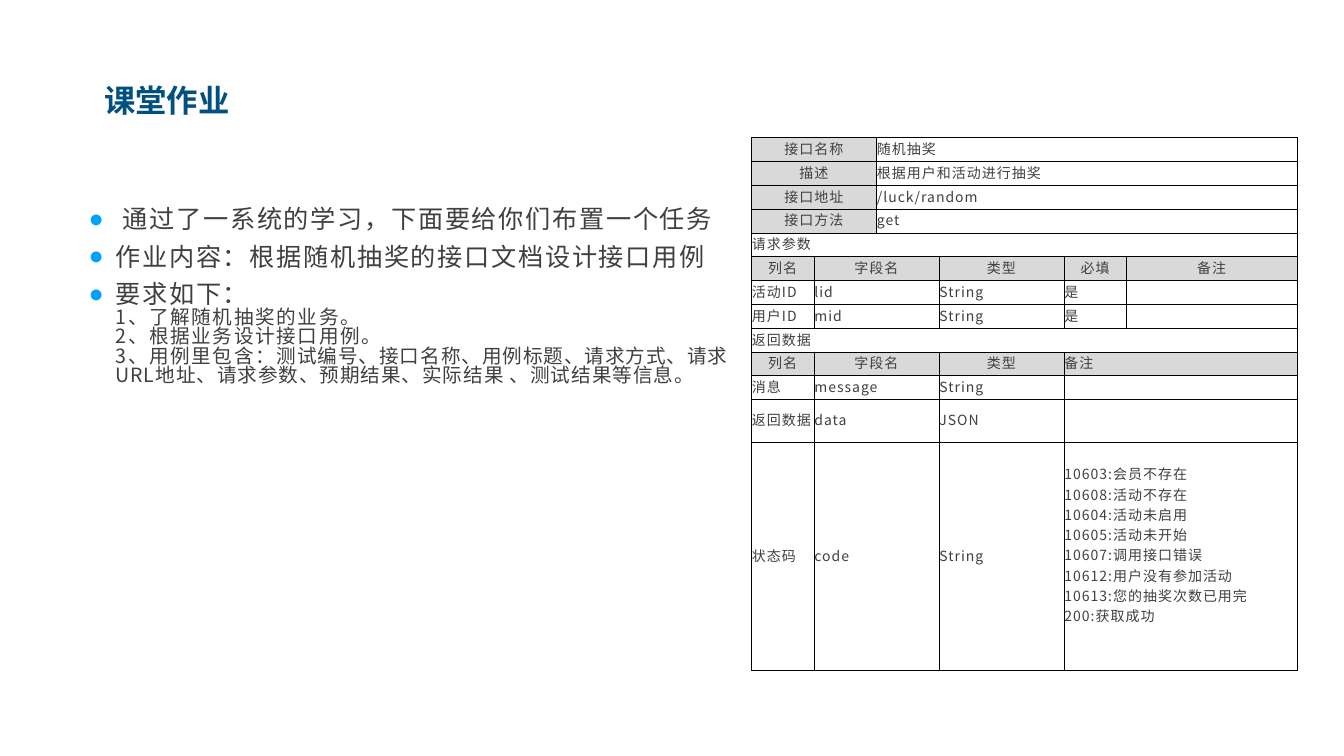
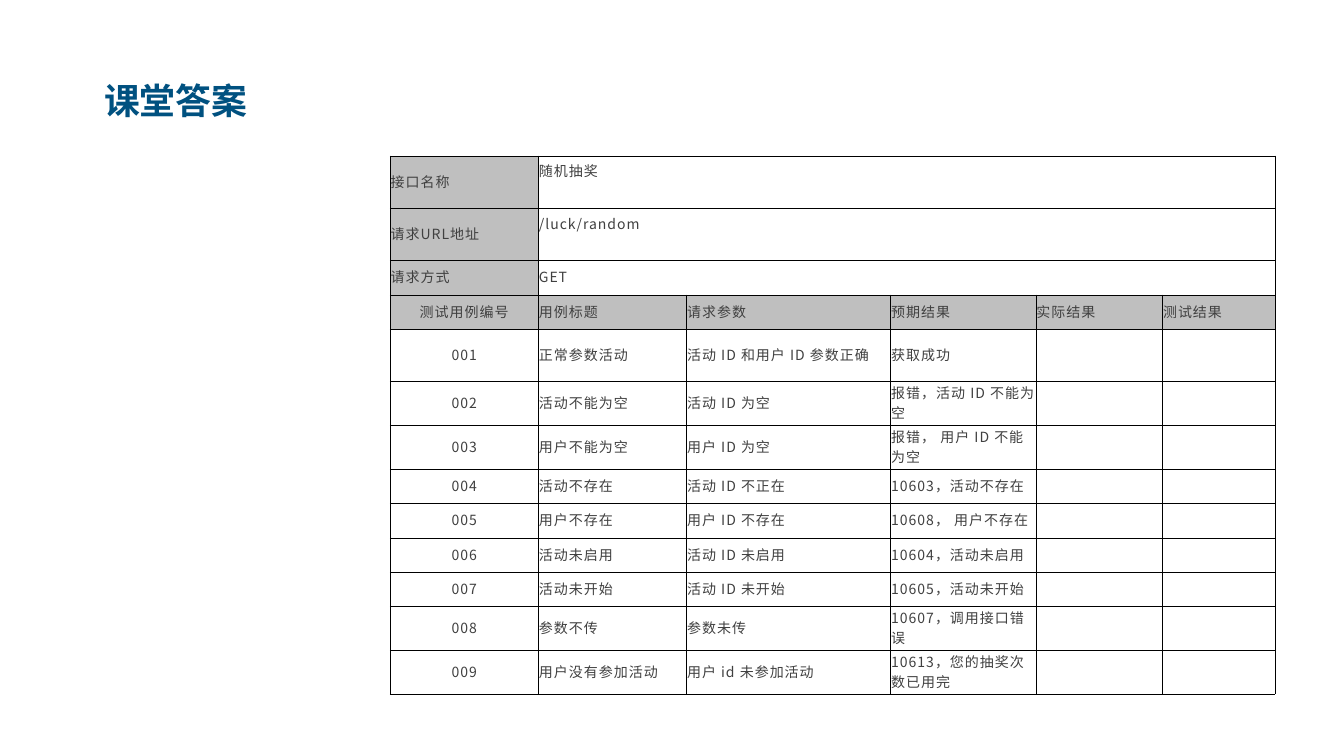
from dataclasses import dataclass

from lxml import etree
from pptx import Presentation
from pptx.dml.color import RGBColor
from pptx.enum.text import MSO_ANCHOR, MSO_AUTO_SIZE, PP_ALIGN
from pptx.oxml.ns import qn
from pptx.util import Cm, Pt

LEFT, CENTER = PP_ALIGN.LEFT, PP_ALIGN.CENTER
MIDDLE = MSO_ANCHOR.MIDDLE
FIXED = MSO_AUTO_SIZE.NONE


@dataclass(frozen=True)
class Theme:
    navy: str = "005180"
    ink: str = "404040"
    dot: str = "00A2FF"
    rule: str = "000000"
    light: str = "D9D9D9"
    grey: str = "BFBFBF"
    white: str = "FFFFFF"
    latin: str = "Arial"
    sans: str = "Noto Sans CJK SC"
    item: float = 36
    step: float = 28
    cell: float = 20


T = Theme()
TITLE_BOX = (5.05, 3.76, 45.39, 2.59)
LIST_BOX = (4.27, 2.06, 33.5, 25.76)

ITEMS = [
    " 通过了一系统的学习，下面要给你们布置一个任务",
    "作业内容：根据随机抽奖的接口文档设计接口用例",
    "要求如下：",
]
STEPS = [
    ["1、了解随机抽奖的业务。"],
    ["2、根据业务设计接口用例。"],
    ["3、用例里包含：",
     "测试编号、接口名称、用例标题、请求方式、请求URL地址、请求参数、预期结果、"
     "实际结果 、测试结果等信息。"],
]

CODES = """10603:会员不存在
10608:活动不存在
10604:活动未启用
10605:活动未开始
10607:调用接口错误
10612:用户没有参加活动
10613:您的抽奖次数已用完
200:获取成功"""
API = [
    ["接口名称", None, "随机抽奖", None, None, None],
    ["描述", None, "根据用户和活动进行抽奖", None, None, None],
    ["接口地址", None, "/luck/random", None, None, None],
    ["接口方法", None, "get", None, None, None],
    ["请求参数", None, None, None, None, None],
    ["列名", "字段名", None, "类型", "必填", "备注"],
    ["活动ID", "lid", None, "String", "是", ""],
    ["用户ID", "mid", None, "String", "是", ""],
    ["返回数据", None, None, None, None, None],
    ["列名", "字段名", None, "类型", "备注", None],
    ["消息", "message", None, "String", "", None],
    ["返回数据", "data", None, "JSON", "", None],
    ["状态码", "code", None, "String", CODES, None],
]
CASES = [
    ["接口名称", "随机抽奖", None, None, None, None],
    ["请求URL地址", "/luck/random", None, None, None, None],
    ["请求方式", "GET", None, None, None, None],
    ["测试用例编号", "用例标题", "请求参数", "预期结果", "实际结果", "测试结果"],
    ["001", "正常参数活动", "活动 ID 和用户 ID 参数正确", "获取成功", "", ""],
    ["002", "活动不能为空", "活动 ID 为空", "报错，活动 ID 不能为空", "", ""],
    ["003", "用户不能为空", "用户 ID 为空", "报错， 用户 ID 不能为空", "", ""],
    ["004", "活动不存在", "活动 ID 不正在", "10603，活动不存在", "", ""],
    ["005", "用户不存在", "用户 ID 不存在", "10608， 用户不存在", "", ""],
    ["006", "活动未启用", "活动 ID 未启用", "10604，活动未启用", "", ""],
    ["007", "活动未开始", "活动 ID 未开始", "10605，活动未开始", "", ""],
    ["008", "参数不传", "参数未传", "10607，调用接口错误", "", ""],
    ["009", "用户没有参加活动", "用户 id 未参加活动", "10613，您的抽奖次数已用完", "", ""],
]


def write(para, text, size=T.cell, color=T.ink, font=T.sans, bold=False,
          gap=0, align=LEFT, line=None):
    para.alignment = align
    para.space_before = Pt(0)
    if line:
        para.line_spacing = line
    run = para.add_run()
    run.text = text
    run.font.size = Pt(size)
    run.font.bold = bold
    run.font.color.rgb = RGBColor.from_string(color)
    run.font.name = font
    props = run._r.get_or_add_rPr()
    if gap:
        props.set("spc", str(round(gap * 100)))
    etree.SubElement(props, qn("a:ea"), typeface=T.sans)


def place(shape, box, low=0.2):
    shape.left, shape.top, shape.width, shape.height = map(Cm, box)
    frame = shape.text_frame
    frame.word_wrap = True
    frame.auto_size = FIXED
    frame.vertical_anchor = MIDDLE
    frame.margin_left = frame.margin_right = frame.margin_top = Cm(0.2)
    frame.margin_bottom = Cm(low)
    return frame


def head(slide, text, size):
    frame = place(slide.shapes.title, TITLE_BOX)
    write(frame.paragraphs[0], text, size=size, color=T.navy,
          font=T.latin, bold=True)


def indent(para, hang):
    props = para._p.get_or_add_pPr()
    props.set("marL", str(Cm(1.35)))
    props.set("indent", str(-Cm(1.35) if hang else 0))
    if hang:
        tint = etree.SubElement(props, qn("a:buClr"))
        etree.SubElement(tint, qn("a:srgbClr"), val=T.dot)
        etree.SubElement(props, qn("a:buFont"), typeface=T.latin)
        etree.SubElement(props, qn("a:buChar"), char="●")
    else:
        etree.SubElement(props, qn("a:buNone"))


def tasks(slide, box):
    frame = place(slide.placeholders[1], box, low=0.7)
    for i, text in enumerate(ITEMS):
        para = frame.add_paragraph() if i else frame.paragraphs[0]
        write(para, text, size=T.item, gap=2.4, line=1.24)
        indent(para, True)
    for parts in STEPS:
        para = frame.add_paragraph()
        para.level = 1
        for text, gap in zip(parts, (2.4, 1.4)):
            write(para, text, size=T.step, gap=gap, line=0.83)
        indent(para, False)


def border(cell, **widths):
    props = cell._tc.get_or_add_tcPr()
    for side in "LRTB":
        width = Pt(widths.get(side, 0.5))
        edge = etree.SubElement(props, qn("a:ln" + side), w=str(width))
        fill = etree.SubElement(edge, qn("a:solidFill"))
        etree.SubElement(fill, qn("a:srgbClr"), val=T.rule)


def grid(slide, spot, rows, cols, highs, shade, mid, tint, base=None,
         outer=0.5, pads=None):
    pads = pads or {}
    shape = slide.shapes.add_table(
        len(rows), len(cols), *map(Cm, (*spot, sum(cols), sum(highs))))
    table = shape.table
    table.first_row = table.horz_banding = False
    for col, width in zip(table.columns, cols):
        col.width = Cm(width)
    for r, row in enumerate(rows):
        table.rows[r].height = Cm(highs[r])
        start = 0
        for c, text in enumerate(row):
            cell = table.cell(r, c)
            border(cell, L=0.5 if c else outer, T=0.5 if r else outer)
            if text is not None:
                start = c
            color = tint if shade(r, start) else base
            if color:
                cell.fill.solid()
                cell.fill.fore_color.rgb = RGBColor.from_string(color)
            else:
                cell.fill.background()
            cell.vertical_anchor = MIDDLE
            cell.margin_left = cell.margin_right = cell.margin_top = Cm(0.03)
            cell.margin_bottom = Cm(0.13 + pads.get((r, c), 0))
            if text:
                frame = cell.text_frame
                for i, part in enumerate(text.split("\n")):
                    para = frame.add_paragraph() if i else frame.paragraphs[0]
                    write(para, part, gap=1.4,
                          align=CENTER if mid(r, c) else LEFT)
        for c, text in enumerate(row):
            end = c
            while end + 1 < len(row) and row[end + 1] is None:
                end += 1
            if text is not None and end > c:
                table.cell(r, c).merge(table.cell(r, end))


def homework(deck):
    slide = deck.slides.add_slide(deck.slide_layouts[1])
    head(slide, "课堂作业", 44.8)

    def shade(r, c):
        return r in (5, 9) or (r < 4 and c == 0)

    def mid(r, c):
        return shade(r, c) and (r, c) != (9, 4)

    unit = 3.15
    cols = [unit, unit, unit, 2 * unit, unit, 8.59]
    grid(slide, (37.87, 6.93), API, cols, [1.2] * 11 + [2.13, 11.53],
         shade, mid, T.light, outer=1, pads={(12, 4): 1.05})
    tasks(slide, LIST_BOX)


def answer(deck):
    slide = deck.slides.add_slide(deck.slide_layouts[5])
    head(slide, "课堂答案", 51.2)
    tall, low = 2.64, 1.73
    highs = [tall, tall, low, low, tall] + [low] * 8
    grid(slide, (19.66, 7.85), CASES, [7.47, 7.47, 10.29, 7.32, 6.38, 5.66],
         highs, lambda r, c: r == 3 or (r < 3 and c == 0),
         lambda r, c: r > 2 and c == 0, T.grey, base=T.white,
         pads={(0, 1): 1.05, (1, 1): 1.05})


def main():
    deck = Presentation()
    deck.slide_width, deck.slide_height = Cm(67.74), Cm(38.1)
    homework(deck)
    answer(deck)
    deck.save("out.pptx")


if __name__ == "__main__":
    main()
